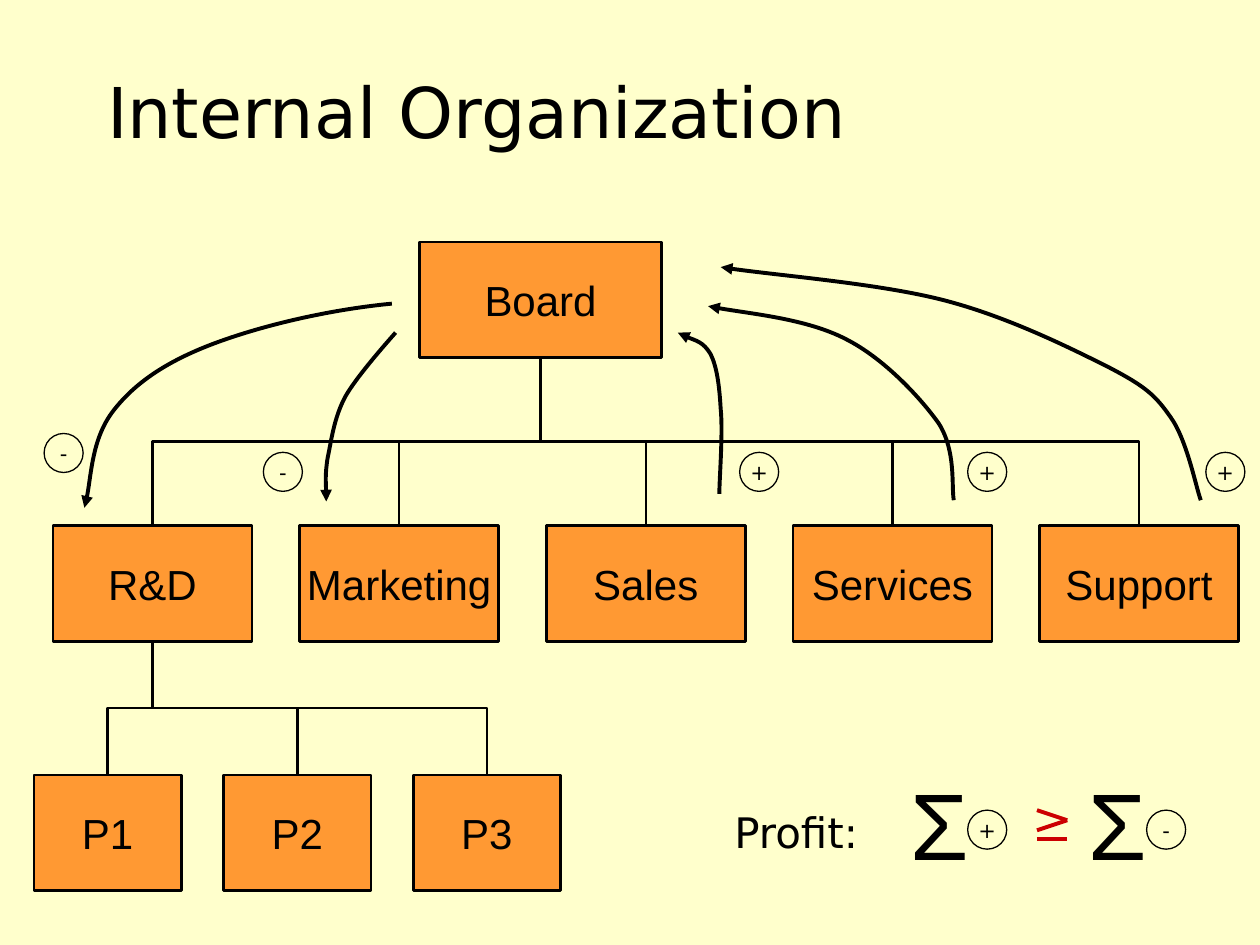
from lxml import etree
from pptx import Presentation
from pptx.dml.color import RGBColor
from pptx.enum.shapes import MSO_CONNECTOR, MSO_SHAPE
from pptx.enum.text import MSO_ANCHOR, PP_ALIGN
from pptx.oxml.ns import qn
from pptx.util import Inches, Pt

RECT, OVAL = MSO_SHAPE.RECTANGLE, MSO_SHAPE.OVAL
ELBOW, STRAIGHT = MSO_CONNECTOR.ELBOW, MSO_CONNECTOR.STRAIGHT
LEFT, CENTER = PP_ALIGN.LEFT, PP_ALIGN.CENTER
TOP, MIDDLE = MSO_ANCHOR.TOP, MSO_ANCHOR.MIDDLE

CREAM = RGBColor(0xFF, 0xFF, 0xCC)
ORANGE = RGBColor(0xFF, 0x99, 0x33)
BLACK = RGBColor(0, 0, 0)
RED = RGBColor(0xCC, 0, 0)
SANS, ARIAL = "DejaVu Sans", "Arial"

BOX_H = 0.92
UNITS = ["R&D", "Marketing", "Sales", "Services", "Support"]
PARTS = ["P1", "P2", "P3"]

ARROWS = [
    [(3.11, 2.41), (2.59, 2.46), (2.06, 2.59), (1.69, 2.73), (1.32, 2.87),
     (1.07, 3.04), (0.9, 3.26), (0.73, 3.48), (0.72, 3.87), (0.67, 4.03)],
    [(3.14, 2.64), (3.07, 2.72), (2.83, 2.99), (2.74, 3.15), (2.65, 3.32),
     (2.63, 3.5), (2.6, 3.64), (2.58, 3.77), (2.59, 3.91), (2.59, 3.98)],
    [(5.71, 3.92), (5.71, 3.8), (5.74, 3.43), (5.72, 3.24), (5.71, 3.06),
     (5.69, 2.91), (5.64, 2.81), (5.58, 2.71), (5.43, 2.67), (5.38, 2.64)],
    [(7.57, 3.97), (7.55, 3.86), (7.59, 3.58), (7.45, 3.36), (7.3, 3.15),
     (7.01, 2.84), (6.71, 2.69), (6.4, 2.53), (5.85, 2.48), (5.62, 2.43)],
    [(9.53, 3.97), (9.49, 3.86), (9.42, 3.49), (9.29, 3.31), (9.17, 3.14),
     (9.1, 3.07), (8.79, 2.91), (8.49, 2.76), (7.99, 2.51), (7.48, 2.38),
     (6.97, 2.25), (6.09, 2.18), (5.72, 2.12)],
]
SIGNS = [
    ("-", 0.35, 3.44), ("-", 2.09, 3.59), ("+", 5.87, 3.59),
    ("+", 7.68, 3.59), ("+", 9.57, 3.59), ("+", 7.68, 6.43), ("-", 9.1, 6.43),
]
RED_LINES = [
    (8.23, 6.43, 8.47, 6.51), (8.23, 6.59, 8.47, 6.51), (8.23, 6.66, 8.47, 6.66),
]


def set_text(shape, text, size, font, align=CENTER, anchor=MIDDLE, wrap=False):
    frame = shape.text_frame
    frame.text = text
    frame.word_wrap = wrap
    frame.vertical_anchor = anchor
    line = frame.paragraphs[0]
    line.alignment = align
    face = line.runs[0].font
    face.size, face.name = Pt(size), font
    face.color.rgb = BLACK


def set_line(shape, width, color=BLACK):
    shape.line.color.rgb = color
    shape.line.width = Pt(width)


def add_box(slide, text, left, top, width):
    box = slide.shapes.add_shape(
        RECT, Inches(left), Inches(top), Inches(width), Inches(BOX_H))
    box.shadow.inherit = False
    box.fill.solid()
    box.fill.fore_color.rgb = ORANGE
    set_line(box, 1.5)
    set_text(box, text, 24, ARIAL)
    return box


def add_row(slide, names, first, last, top, width):
    step = (last - first) / (len(names) - 1)
    return [add_box(slide, name, first + i * step, top, width)
            for i, name in enumerate(names)]


def add_wire(slide, kind, ends, width, color=BLACK):
    wire = slide.shapes.add_connector(kind, *[int(n) for n in ends])
    set_line(wire, width, color)
    etree.SubElement(wire._element.spPr, qn("a:effectLst"))
    return wire


def link(slide, upper, lower):
    x1, y1 = upper.left + upper.width / 2, upper.top + upper.height
    x2, y2 = lower.left + lower.width / 2, lower.top
    mid_x, mid_y = (x1 + x2) / 2, (y1 + y2) / 2
    side = 1 if x2 < x1 else -1
    run, rise = side * (y2 - y1) / 2, abs(x2 - x1) / 2
    ends = (mid_x - run, mid_y - rise, mid_x + run, mid_y + rise)
    wire = add_wire(slide, ELBOW, ends, 1.5)
    turn = 90 if side == 1 else 270
    wire._element.spPr.find(qn("a:xfrm")).set("rot", str(turn * 60000))


def add_arrow(slide, points):
    spots = [(Inches(x), Inches(y)) for x, y in points]
    pen = slide.shapes.build_freeform(*spots[0])
    pen.add_line_segments(spots[1:], close=False)
    arrow = pen.convert_to_shape()
    arrow.shadow.inherit = False
    arrow.fill.background()
    set_line(arrow, 2.25)
    steps = list(arrow._element.iter(qn("a:lnTo")))
    for i in range(0, len(steps), 3):
        curve = etree.Element(qn("a:cubicBezTo"))
        steps[i].addprevious(curve)
        for step in steps[i:i + 3]:
            curve.append(step[0])
            step.getparent().remove(step)
    pen_line = arrow.line._get_or_add_ln()
    etree.SubElement(pen_line, qn("a:tailEnd"), type="triangle")


def add_sign(slide, text, left, top):
    sign = slide.shapes.add_shape(
        OVAL, Inches(left), Inches(top), Inches(0.31), Inches(0.31))
    sign.shadow.inherit = False
    sign.fill.background()
    set_line(sign, 0.75)
    set_text(sign, text, 12, SANS)


def add_label(slide, text, area, size, font, wrap):
    label = slide.shapes.add_textbox(*[Inches(n) for n in area])
    set_text(label, text, size, font, LEFT, TOP, wrap)


def main():
    deck = Presentation()
    deck.slide_width, deck.slide_height = Inches(10), Inches(7.5)
    slide = deck.slides.add_slide(deck.slide_layouts[5])
    slide.background.fill.solid()
    slide.background.fill.fore_color.rgb = CREAM

    title = slide.shapes.title
    title.left, title.top = Inches(0.75), Inches(0.25)
    title.width, title.height = Inches(8.08), Inches(1.25)
    set_text(title, "Internal Organization", 40, SANS, LEFT, wrap=True)

    board = add_box(slide, "Board", 3.33, 1.92, 1.92)
    units = add_row(slide, UNITS, 0.42, 8.25, 4.17, 1.58)
    parts = add_row(slide, PARTS, 0.27, 3.28, 6.15, 1.17)
    for unit in units:
        link(slide, board, unit)
    for part in parts:
        link(slide, units[0], part)

    for points in ARROWS:
        add_arrow(slide, points)
    for left in (7.13, 8.54):
        add_label(slide, "Σ", (left, 6.03, 0.69, 1), 54, ARIAL, True)
    for sign in SIGNS:
        add_sign(slide, *sign)
    for ends in RED_LINES:
        add_wire(slide, STRAIGHT, [Inches(n) for n in ends], 2.25, RED)
    add_label(slide, "Profit:", (5.73, 6.35, 1.24, 0.5), 24, SANS, False)

    deck.save("out.pptx")


if __name__ == "__main__":
    main()
